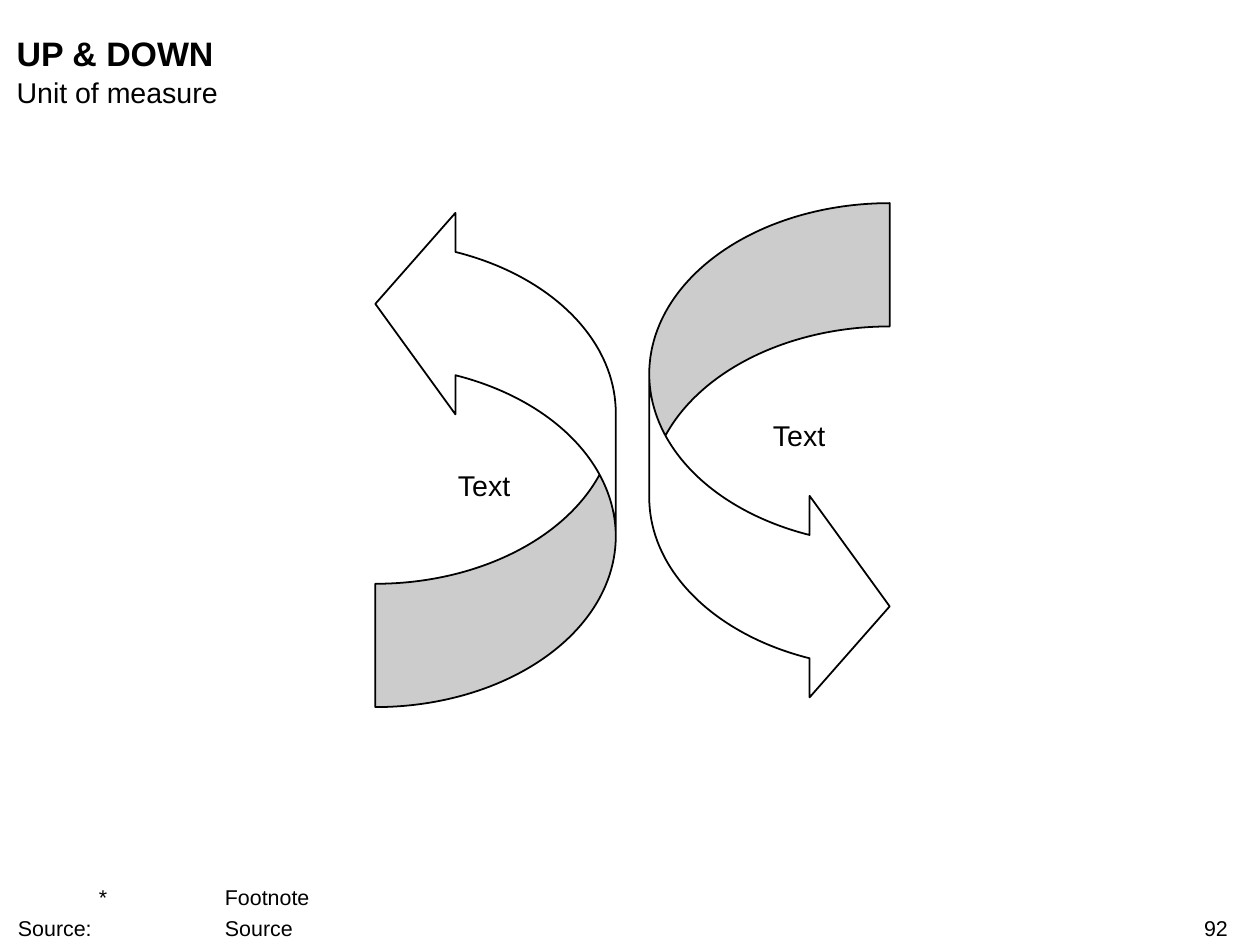
"""Build the UP & DOWN slide with two opposed curved arrows."""
from lxml.etree import SubElement
from pptx import Presentation
from pptx.dml.color import RGBColor
from pptx.enum.shapes import MSO_SHAPE
from pptx.enum.text import MSO_ANCHOR, PP_ALIGN
from pptx.oxml.ns import qn
from pptx.util import Inches, Pt

THEME = {
    "font": "Arial",
    "ink": RGBColor(0, 0, 0),
    "paper": RGBColor(255, 255, 255),
    "title": Pt(19),
    "body": Pt(16),
    "note": Pt(12),
    "outline": Pt(1),
    "note_gap": Pt(2.9),
}

LABELS = [
    (["92"], (7.51, 7.12, 2.04, 0.2), "note", PP_ALIGN.RIGHT, MSO_ANCHOR.TOP),
    (["Text"], (2.94, 3.64, 1.65, 0.27), "body", PP_ALIGN.CENTER, MSO_ANCHOR.MIDDLE),
    (["Text"], (5.39, 3.25, 1.65, 0.27), "body", PP_ALIGN.CENTER, MSO_ANCHOR.MIDDLE),
    (["UP & DOWN"], (0.13, 0.25, 9.43, 0.32), "title", PP_ALIGN.LEFT, MSO_ANCHOR.TOP),
    (["Unit of measure"], (0.13, 0.58, 9.43, 0.27), "body", PP_ALIGN.LEFT, MSO_ANCHOR.TOP),
    (["\t*\tFootnote", "Source:\t\tSource"], (0.14, 6.88, 8.93, 0.44), "note",
     PP_ALIGN.LEFT, MSO_ANCHOR.BOTTOM),
]
ARROWS = [(5.05, False), (2.92, True)]
ARROW_TOP, ARROW_WIDTH, ARROW_HEIGHT = 1.58, 1.87, 3.92
ARROW_BENDS = (0.513, 0.838, 0.333)
NOTE_INDENT, NOTE_TAB, NOTE_TAB_STEP = 0.63, 0.58, 0.98


def add_arrow(slide, left, flipped):
    box = (left, ARROW_TOP, ARROW_WIDTH, ARROW_HEIGHT)
    arrow = slide.shapes.add_shape(MSO_SHAPE.CURVED_RIGHT_ARROW, *map(Inches, box))
    arrow.shadow.inherit = False
    for index, bend in enumerate(ARROW_BENDS):
        arrow.adjustments[index] = bend
    arrow.fill.solid()
    arrow.fill.fore_color.rgb = THEME["paper"]
    arrow.line.color.rgb = THEME["ink"]
    arrow.line.width = THEME["outline"]
    if flipped:
        for flip in ("flipH", "flipV"):
            arrow.element.spPr.find(qn("a:xfrm")).set(flip, "1")


def set_note_tabs(paragraph):
    properties = paragraph._p.get_or_add_pPr()
    lengths = {"marL": NOTE_INDENT, "indent": -NOTE_INDENT, "defTabSz": NOTE_TAB_STEP}
    for name, length in lengths.items():
        properties.set(name, str(Inches(length)))
    tabs = SubElement(properties, qn("a:tabLst"))
    SubElement(tabs, qn("a:tab"), pos=str(Inches(NOTE_TAB)), algn="r")


def add_label(slide, lines, box, role, alignment, anchor):
    frame = slide.shapes.add_textbox(*map(Inches, box)).text_frame
    layout = {"word_wrap": True, "vertical_anchor": anchor, "margin_left": 0,
              "margin_right": 0, "margin_top": 0, "margin_bottom": 0}
    for name, value in layout.items():
        setattr(frame, name, value)
    style = {"name": THEME["font"], "size": THEME[role], "bold": role == "title"}
    for index, line in enumerate(lines):
        paragraph = frame.add_paragraph() if index else frame.paragraphs[0]
        if "\t" in line:
            set_note_tabs(paragraph)
        if index:
            paragraph.space_before = THEME["note_gap"]
        paragraph.alignment = alignment
        run = paragraph.add_run()
        run.text = line
        for name, value in style.items():
            setattr(run.font, name, value)
        run.font.color.rgb = THEME["ink"]


def main():
    deck = Presentation()
    deck.slide_width, deck.slide_height = Inches(9.8), Inches(7.35)
    slide = deck.slides.add_slide(deck.slide_layouts[6])
    for arrow in ARROWS:
        add_arrow(slide, *arrow)
    for label in LABELS:
        add_label(slide, *label)
    deck.save("out.pptx")


if __name__ == "__main__":
    main()
